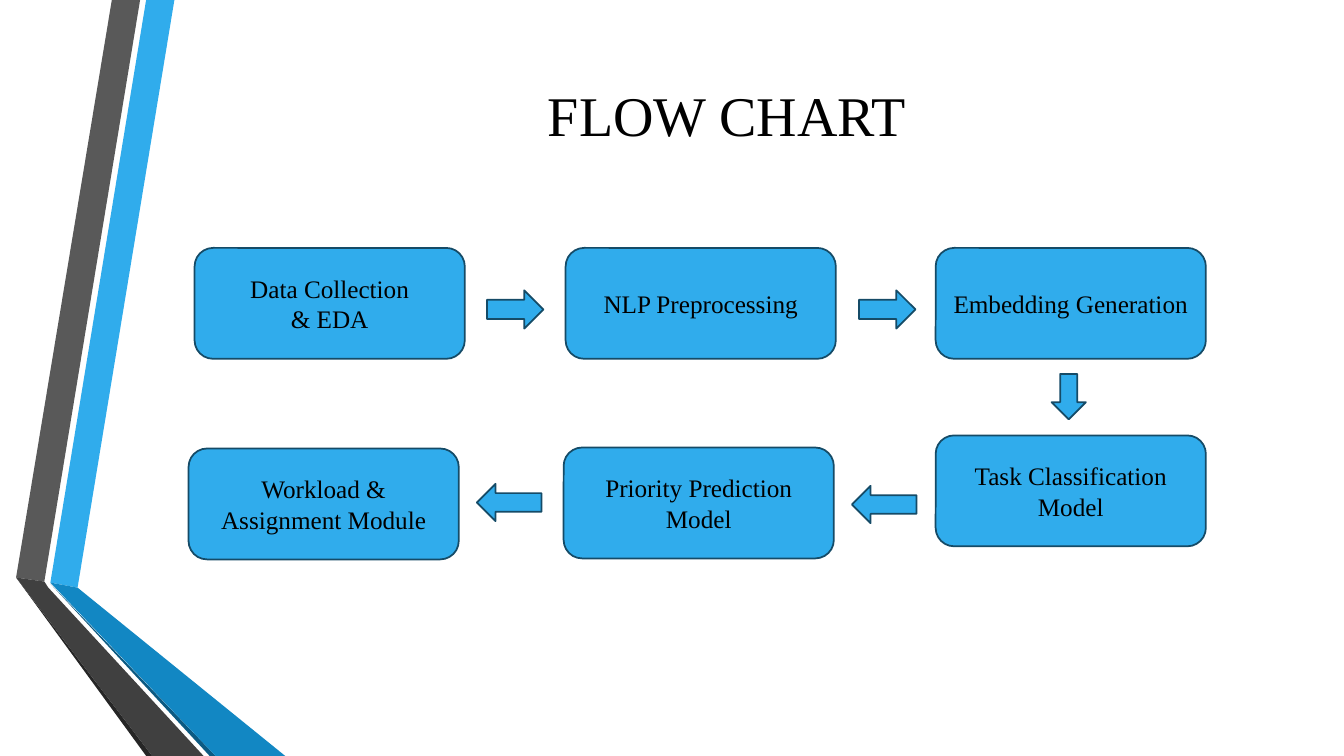
"""Build the flow chart slide with six steps, five arrows and a folded ribbon."""
from dataclasses import dataclass

from pptx import Presentation
from pptx.dml.color import RGBColor
from pptx.enum.shapes import MSO_SHAPE
from pptx.enum.text import MSO_ANCHOR, PP_ALIGN
from pptx.shapes.autoshape import Shape
from pptx.slide import Slide
from pptx.text.text import TextFrame
from pptx.util import Inches, Pt

BOX = MSO_SHAPE.ROUNDED_RECTANGLE
RIGHT = MSO_SHAPE.RIGHT_ARROW
LEFT = MSO_SHAPE.LEFT_ARROW
DOWN = MSO_SHAPE.DOWN_ARROW
MIDDLE = MSO_ANCHOR.MIDDLE
CENTER = PP_ALIGN.CENTER

BLUE = RGBColor(0x30, 0xAC, 0xEC)
NAVY = RGBColor(0x15, 0x4B, 0x67)
BLACK = RGBColor(0x00, 0x00, 0x00)
GREY = RGBColor(0x59, 0x59, 0x59)
COAL = RGBColor(0x26, 0x26, 0x26)
DARK = RGBColor(0x40, 0x40, 0x40)
DEEP = RGBColor(0x0C, 0x5A, 0x82)
OCEAN = RGBColor(0x12, 0x87, 0xC3)

FONT = "Times New Roman"
BOX_W, BOX_H = 2.68, 1.1


@dataclass(frozen=True)
class Band:
    color: RGBColor
    points: tuple[tuple[float, float], ...]


@dataclass(frozen=True)
class Step:
    text: str
    left: float
    top: float


@dataclass(frozen=True)
class Arrow:
    kind: MSO_SHAPE
    left: float
    top: float
    width: float
    height: float


BANDS = (
    Band(BLUE, ((0.5, 5.78), (0.77, 5.83), (1.73, 0), (1.45, 0))),
    Band(GREY, ((1.39, 0), (1.11, 0), (0.16, 5.73), (0.44, 5.77))),
    Band(COAL, ((0.16, 5.73), (1.45, 7.5), (1.51, 7.5))),
    Band(DEEP, ((0.5, 5.79), (2.08, 7.5), (2.14, 7.5))),
    Band(OCEAN, ((0.5, 5.78), (2.14, 7.5), (2.83, 7.5), (0.77, 5.83))),
    Band(DARK, ((2.02, 7.5), (0.48, 5.83), (0.44, 5.77), (0.16, 5.73), (1.51, 7.5))),
)
STEPS = (
    Step("Data Collection\n& EDA", 1.93, 2.46),
    Step("NLP Preprocessing", 5.61, 2.46),
    Step("Embedding Generation", 9.28, 2.46),
    Step("Task Classification Model", 9.28, 4.32),
    Step("Priority Prediction Model", 5.59, 4.44),
    Step("Workload & Assignment Module", 1.87, 4.45),
)
ARROWS = (
    Arrow(RIGHT, 4.83, 2.88, 0.56, 0.38),
    Arrow(RIGHT, 8.52, 2.88, 0.56, 0.38),
    Arrow(DOWN, 10.43, 3.71, 0.34, 0.45),
    Arrow(LEFT, 8.45, 4.82, 0.64, 0.37),
    Arrow(LEFT, 4.73, 4.8, 0.64, 0.37),
)


def paint(shape: Shape, color: RGBColor) -> None:
    shape.shadow.inherit = False
    shape.fill.solid()
    shape.fill.fore_color.rgb = color


def write(frame: TextFrame, text: str, size: int) -> None:
    frame.text = text
    frame.word_wrap = True
    frame.vertical_anchor = MIDDLE
    for para in frame.paragraphs:
        para.alignment = CENTER
        for run in para.runs:
            run.font.name = FONT
            run.font.size = Pt(size)
            run.font.color.rgb = BLACK


def add_band(slide: Slide, band: Band) -> None:
    first, *rest = [(Inches(x), Inches(y)) for x, y in band.points]
    pen = slide.shapes.build_freeform(*first)
    pen.add_line_segments(rest, close=True)
    shape = pen.convert_to_shape()
    paint(shape, band.color)
    shape.line.fill.background()


def add_block(slide: Slide, kind: MSO_SHAPE, left: float, top: float,
              width: float, height: float) -> Shape:
    shape = slide.shapes.add_shape(
        kind, Inches(left), Inches(top), Inches(width), Inches(height))
    paint(shape, BLUE)
    shape.line.color.rgb = NAVY
    shape.line.width = Pt(1.25)
    return shape


def add_step(slide: Slide, step: Step) -> None:
    shape = add_block(slide, BOX, step.left, step.top, BOX_W, BOX_H)
    write(shape.text_frame, step.text, 18)


def add_arrow(slide: Slide, arrow: Arrow) -> None:
    add_block(slide, arrow.kind, arrow.left, arrow.top, arrow.width, arrow.height)


def main() -> None:
    deck = Presentation()
    deck.slide_width, deck.slide_height = Inches(13.33), Inches(7.5)
    slide = deck.slides.add_slide(deck.slide_layouts[6])
    for band in BANDS:
        add_band(slide, band)
    title = slide.shapes.add_textbox(
        Inches(1.73), Inches(0.17), Inches(10.96), Inches(1.92))
    write(title.text_frame, "FLOW CHART", 40)
    for step in STEPS:
        add_step(slide, step)
    for arrow in ARROWS:
        add_arrow(slide, arrow)
    deck.save("out.pptx")


if __name__ == "__main__":
    main()
